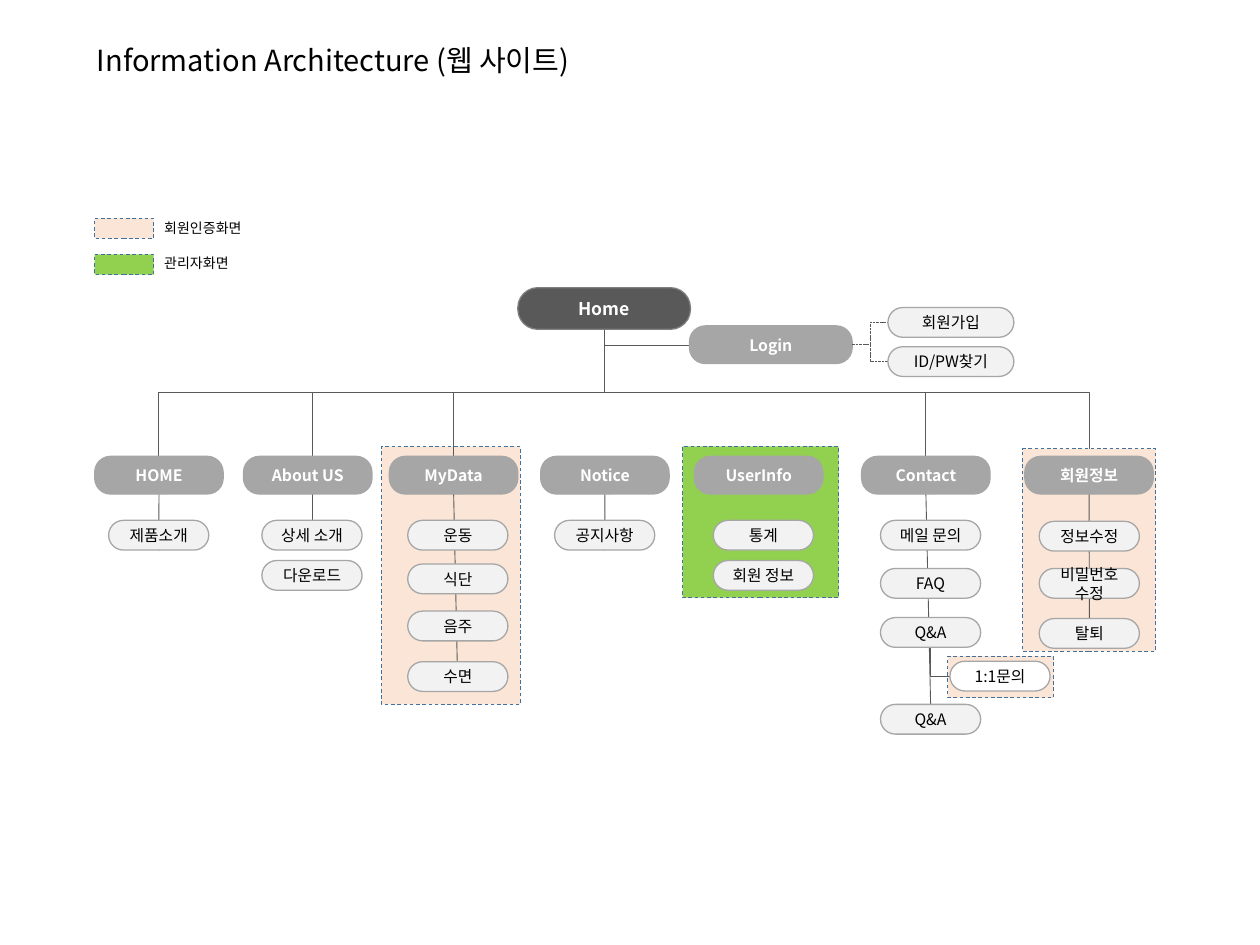
from lxml import etree
from pptx import Presentation
from pptx.dml.color import RGBColor
from pptx.enum import dml, shapes, text
from pptx.oxml.ns import qn
from pptx.util import Cm, Pt

FONT = "Noto Sans CJK KR"
BLACK = RGBColor(0x00, 0x00, 0x00)
WHITE = RGBColor(0xFF, 0xFF, 0xFF)
DARK = RGBColor(0x59, 0x59, 0x59)
EDGE = RGBColor(0x7F, 0x7F, 0x7F)
GREY = RGBColor(0xA6, 0xA6, 0xA6)
PALE = RGBColor(0xF2, 0xF2, 0xF2)
PEACH = RGBColor(0xFB, 0xE5, 0xD6)
GREEN = RGBColor(0x92, 0xD0, 0x50)
BLUE = RGBColor(0x41, 0x71, 0x9C)

DASH = dml.MSO_LINE.DASH
DOTS = dml.MSO_LINE.SQUARE_DOT

# Menu grid, in cm
HEAD_Y, HEAD_W, HEAD_H = 9.2, 2.59, 0.76
ITEM_W, ITEM_H = 2.02, 0.6
ROOT = (12.19, 6.63)
KNEE = 7.92

# Menu: name, head left, item left, end of its spine, items with their tops
MENUS = [
    ("HOME", 1.91, 2.19, 11.1, [("제품소개", 10.49)]),
    ("About US", 4.91, 5.28, None, [("상세 소개", 10.49), ("다운로드", 11.3)]),
    ("MyData", 7.85, 8.22, 13.94,
     [("운동", 10.49), ("식단", 11.37), ("음주", 12.32), ("수면", 13.34)]),
    ("Notice", 10.9, 11.18, 11.1, [("공지사항", 10.49)]),
    ("UserInfo", 14.0, 14.38, None, [("통계", 10.49), ("회원 정보", 11.3)]),
    ("Contact", 17.37, 17.75, 14.2,
     [("메일 문의", 10.49), ("FAQ", 11.46), ("Q&A", 12.45), ("Q&A", 14.2)]),
    ("회원정보", 20.66, 20.95, 12.47,
     [("정보수정", 10.51), ("비밀번호 수정", 11.46), ("탈퇴", 12.47)]),
]
# Screen areas: left, top, width, height, colour
AREAS = [
    (13.76, 9.0, 3.15, 3.05, GREEN),
    (7.69, 9.0, 2.8, 5.2, PEACH),
    (20.61, 9.05, 2.69, 4.08, PEACH),
    (19.11, 13.23, 2.13, 0.84, PEACH),
]
# Legend: label, colour, swatch top, label top
KEYS = [("회원인증화면", PEACH, 4.4, 4.31), ("관리자화면", GREEN, 5.13, 5.0)]
# Ends of the main branches
ENDS = [(3.2, HEAD_Y), (6.3, 10.49), (9.14, HEAD_Y), (18.66, HEAD_Y), (21.96, 9.05)]


def add_run(para, words, size, color, bold=False):
    run = para.add_run()
    run.text = words
    font = run.font
    font.size, font.bold, font.name = Pt(size), bold, FONT
    font.color.rgb = color
    # Hangul takes its face from the East Asian font
    etree.SubElement(run._r.get_or_add_rPr(), qn("a:ea"), typeface=FONT)


def add_box(slide, kind, left, top, wide, high, fill, edge, weight):
    box = slide.shapes.add_shape(kind, Cm(left), Cm(top), Cm(wide), Cm(high))
    box.shadow.inherit = False
    box.fill.solid()
    box.fill.fore_color.rgb = fill
    box.line.color.rgb = edge
    box.line.width = Pt(weight)
    return box


def add_area(slide, left, top, wide, high, fill):
    box = add_box(slide, shapes.MSO_SHAPE.RECTANGLE, left, top, wide, high, fill, BLUE, 0.5)
    box.line.dash_style = DASH


def add_pill(slide, words, left, top, wide=ITEM_W, high=ITEM_H, fill=PALE,
             edge=GREY, color=BLACK, size=9, bold=False, bend=0.5):
    pill = add_box(slide, shapes.MSO_SHAPE.ROUNDED_RECTANGLE,
                   left, top, wide, high, fill, edge, 0.75)
    pill.adjustments[0] = bend
    frame = pill.text_frame
    frame.margin_left = frame.margin_right = Cm(0.05)
    frame.margin_top = frame.margin_bottom = Cm(0.05)
    frame.vertical_anchor = text.MSO_ANCHOR.MIDDLE
    para = frame.paragraphs[0]
    para.alignment = text.PP_ALIGN.CENTER
    add_run(para, words, size, color, bold)


def add_head(slide, words, left, top, wide=HEAD_W):
    add_pill(slide, words, left, top, wide, HEAD_H, GREY, color=WHITE, bold=True, bend=0.42)


def add_line(slide, start, end, kind=shapes.MSO_CONNECTOR.STRAIGHT, dash=None):
    line = slide.shapes.add_connector(kind, *(Cm(n) for n in (*start, *end)))
    line.line.color.rgb = DARK
    line.line.width = Pt(0.5)
    if dash:
        line.line.dash_style = dash
    etree.SubElement(line._element.spPr, qn("a:effectLst"))
    return line


def add_drop(slide, start, end, knee=None):
    """Elbow that leaves downwards; without a knee it turns only once."""
    (x1, y1), (x2, y2) = start, end
    midx, midy = (x1 + x2) / 2, (y1 + y2) / 2
    half, rise = (y2 - y1) / 2, abs(x2 - x1) / 2
    side = 1 if x2 > x1 else -1
    line = add_line(slide, (midx + side * half, midy - rise),
                    (midx - side * half, midy + rise), shapes.MSO_CONNECTOR.ELBOW)
    line.rotation = 270 if side > 0 else 90
    geom = line._element.spPr.find(qn("a:prstGeom"))
    if knee is None:
        geom.set("prst", "bentConnector2")
    else:
        part = round((knee - y1) / (y2 - y1) * 100000)
        etree.SubElement(geom.find(qn("a:avLst")), qn("a:gd"),
                         name="adj1", fmla=f"val {part}")


def add_title(slide, words):
    title = slide.shapes.title
    title.left, title.top, title.width, title.height = Cm(1.7), Cm(0.92), Cm(15), Cm(0.81)
    frame = title.text_frame
    frame.auto_size = text.MSO_AUTO_SIZE.NONE
    frame.vertical_anchor = text.MSO_ANCHOR.TOP
    para = frame.paragraphs[0]
    para.alignment = text.PP_ALIGN.LEFT
    para.line_spacing = 0.7
    add_run(para, words, 16.6, BLACK)


def add_key(slide, words, fill, top, high):
    add_area(slide, 1.91, top, 1.19, 0.41, fill)
    # Wide enough to hold each label on one line
    box = slide.shapes.add_textbox(Cm(3.06), Cm(high), Cm(2.6), Cm(0.61))
    box.text_frame.word_wrap = True
    add_run(box.text_frame.paragraphs[0], words, 8, BLACK)


def add_menu(slide, name, left, inner, foot, items):
    if foot:
        add_line(slide, (left + HEAD_W / 2, HEAD_Y + HEAD_H), (inner + ITEM_W / 2, foot))
    add_head(slide, name, left, HEAD_Y)
    for words, top in items:
        add_pill(slide, words, inner, top)


def main():
    deck = Presentation()
    deck.slide_width, deck.slide_height = Cm(25.4), Cm(19.05)
    slide = deck.slides.add_slide(deck.slide_layouts[5])
    add_title(slide, "Information Architecture (웹 사이트)")

    # Areas and legend
    for area in AREAS:
        add_area(slide, *area)
    for key in KEYS:
        add_key(slide, *key)

    # Branches from the root
    for end in ENDS:
        add_drop(slide, ROOT, end, KNEE)
    add_drop(slide, ROOT, (13.9, 6.96))
    add_pill(slide, "Home", 10.44, 5.8, 3.48, 0.84, DARK, EDGE, WHITE, 10, True, 0.48)

    # Login and its pages
    add_head(slide, "Login", 13.9, 6.57, 3.28)
    for words, top in (("회원가입", 6.2), ("ID/PW찾기", 6.99)):
        add_line(slide, (17.18, 6.95), (17.9, top + ITEM_H / 2),
                 shapes.MSO_CONNECTOR.ELBOW, DOTS)
        add_pill(slide, words, 17.9, top, 2.54)

    # Menus, then the page under Q&A
    for menu in MENUS:
        add_menu(slide, *menu)
    add_drop(slide, (18.76, 13.06), (19.15, 13.63))
    add_pill(slide, "1:1문의", 19.15, 13.33, fill=WHITE)

    deck.save("out.pptx")


if __name__ == "__main__":
    main()
